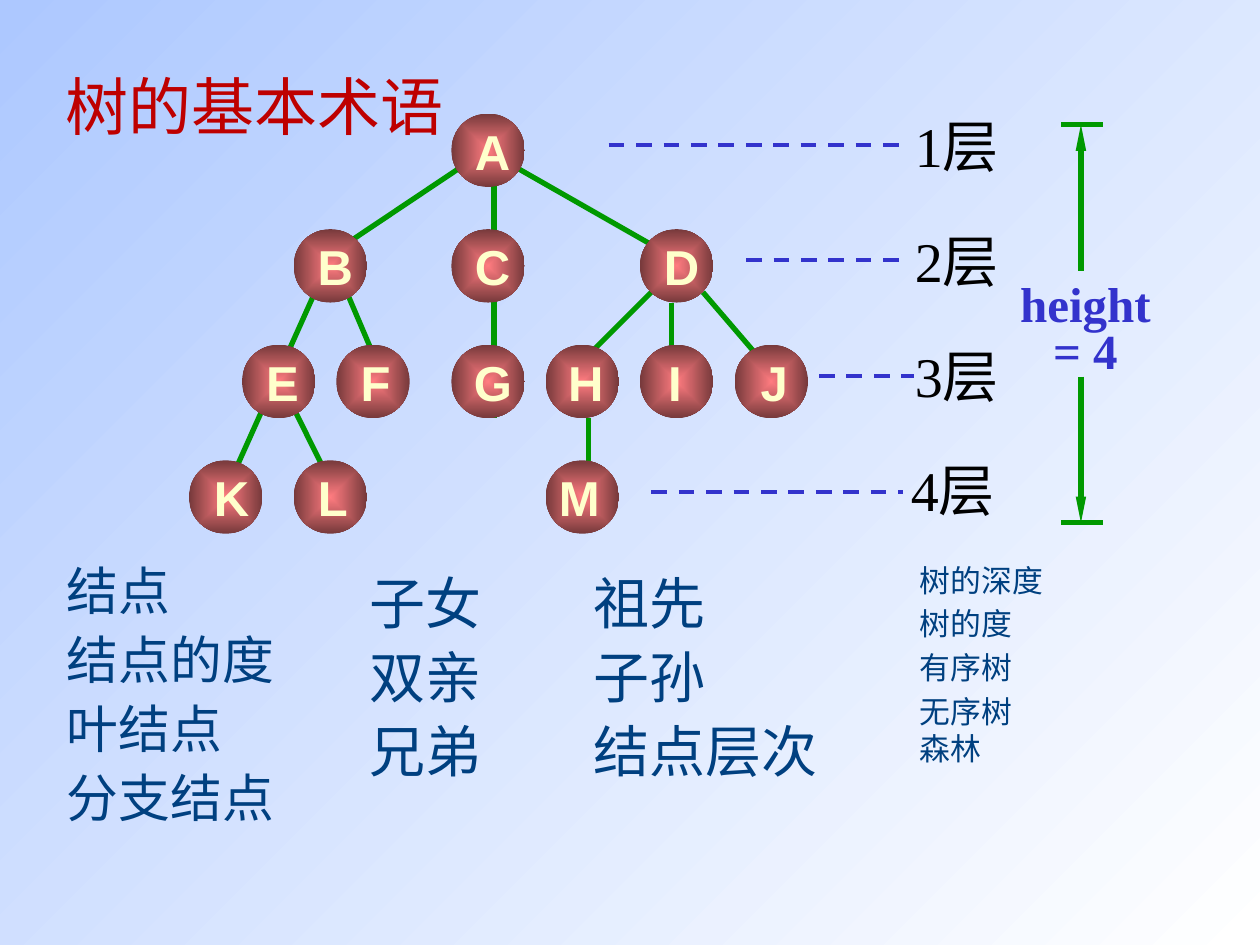
from lxml.etree import SubElement
from pptx import Presentation
from pptx.dml.color import RGBColor
from pptx.enum.dml import MSO_LINE
from pptx.enum.shapes import MSO_CONNECTOR, MSO_SHAPE
from pptx.enum.text import MSO_ANCHOR, MSO_AUTO_SIZE, PP_ALIGN
from pptx.oxml.ns import qn
from pptx.util import Cm, Pt

SKY = RGBColor(0xAD, 0xC8, 0xFF)
WHITE = RGBColor(0xFF, 0xFF, 0xFF)
RED = RGBColor(0xBE, 0x00, 0x00)
GREEN = RGBColor(0x00, 0x99, 0x00)
BLUE = RGBColor(0x33, 0x33, 0xCC)
NAVY = RGBColor(0x00, 0x40, 0x80)
BLACK = RGBColor(0x00, 0x00, 0x00)
CREAM = RGBColor(0xFF, 0xFF, 0xCC)
NODE_LIGHT = RGBColor(0xFF, 0x7C, 0x80)
NODE_DARK = RGBColor(0x76, 0x39, 0x3B)
SERIF, SANS, CJK = "Times New Roman", "Arial", "Noto Sans CJK SC"

deck = Presentation()
deck.slide_width, deck.slide_height = Cm(25.4), Cm(19.05)
slide = deck.slides.add_slide(deck.slide_layouts.get_by_name("Comparison"))


def add_line(x1, y1, x2, y2, color, width):
    line = slide.shapes.add_connector(
        MSO_CONNECTOR.STRAIGHT, Cm(x1), Cm(y1), Cm(x2), Cm(y2))
    line.line.color.rgb = color
    line.line.width = Pt(width)
    SubElement(line._element.spPr, qn("a:effectLst"))
    return line


def add_label(lines, x, y, w, h, font, size, color, bold=False, spacing=None):
    label = slide.shapes.add_textbox(Cm(x), Cm(y), Cm(w), Cm(h)).text_frame
    label.word_wrap = False
    label.auto_size = MSO_AUTO_SIZE.NONE
    label.margin_left = label.margin_right = 0
    label.vertical_anchor = MSO_ANCHOR.MIDDLE
    for i, text in enumerate(lines):
        paragraph = label.add_paragraph() if i else label.paragraphs[0]
        paragraph.alignment = PP_ALIGN.CENTER
        paragraph.line_spacing = spacing
        run = paragraph.add_run()
        run.text = text
        run.font.name, run.font.size, run.font.bold = font, Pt(size), bold
        run.font.color.rgb = color


# Background
backdrop = slide.background.fill
backdrop.gradient()
backdrop.gradient_angle = 315
for stop, color in zip(backdrop.gradient_stops, (SKY, WHITE)):
    stop.color.rgb = color

# Title
title = slide.shapes.title
title.left, title.top, title.width, title.height = Cm(1.07), Cm(1.27), Cm(21.59), Cm(1.7)
title.text_frame.vertical_anchor = MSO_ANCHOR.MIDDLE
title.text_frame.auto_size = MSO_AUTO_SIZE.NONE
heading = title.text_frame.paragraphs[0]
heading.alignment = PP_ALIGN.LEFT
run = heading.add_run()
run.text = "树的基本术语"
run.font.name, run.font.size, run.font.color.rgb = SERIF, Pt(36), RED

# Tree edges
edges = [
    (14.17, 5.89, 15.44, 7.37), (13.13, 5.89, 11.86, 7.16),
    (13.54, 6.1, 13.54, 7.16), (11.86, 8.43, 11.86, 9.7),
    (10.36, 3.35, 13.34, 5.05), (9.32, 3.35, 6.78, 5.05),
    (9.96, 3.56, 9.96, 8.43), (6.99, 5.89, 7.62, 7.37),
    (5.92, 8.23, 6.55, 9.5), (6.35, 5.89, 4.45, 10.13),
]
for edge in edges:
    add_line(*edge, GREEN, 3)

# Tree nodes by level: letter, node left, letter left, letter width
NODE, TOP, LEVEL_STEP = 1.48, 2.29, 2.33
levels = [
    [("A", 9.1, 9.32, 1.22)],
    [("B", 5.92, 6.15, 1.22), ("C", 9.1, 9.32, 1.22), ("D", 12.9, 13.13, 1.22)],
    [("E", 4.88, 5.11, 1.17), ("F", 6.78, 7.01, 1.12), ("G", 9.1, 9.3, 1.27),
     ("H", 11, 11.2, 1.22), ("I", 12.9, 13.21, 0.79), ("J", 14.81, 15.09, 1.04)],
    [("K", 3.81, 4.06, 1.22), ("L", 5.92, 6.15, 1.12), ("M", 11, 11.02, 1.32)],
]
for depth, nodes in enumerate(levels):
    top = TOP + depth * LEVEL_STEP
    for letter, left, letter_left, letter_width in nodes:
        node = slide.shapes.add_shape(
            MSO_SHAPE.OVAL, Cm(left), Cm(top), Cm(NODE), Cm(NODE))
        node.shadow.inherit = False
        node.line.fill.background()
        node.fill.gradient()
        for stop, color in zip(node.fill.gradient_stops, (NODE_LIGHT, NODE_DARK)):
            stop.color.rgb = color
        # Gradient spreads from the centre
        gradient = node._element.spPr.find(qn("a:gradFill"))
        gradient.remove(gradient.find(qn("a:lin")))
        spread = SubElement(gradient, qn("a:path"), path="rect")
        SubElement(spread, qn("a:fillToRect"), l="50000", t="50000", r="50000", b="50000")
        add_label([letter], letter_left, top + 0.02, letter_width, 1.45,
                  SANS, 28, CREAM, bold=True)

# Level guides: dash start, dash end, label left
guides = [(12.27, 18.21, 18.06), (15.04, 18.21, 18.06),
          (16.51, 18.42, 18.06), (13.13, 18.21, 17.98)]
for depth, (start, end, label_left) in enumerate(guides):
    y = 2.92 + depth * LEVEL_STEP
    guide = add_line(start, y, end, y, BLUE, 2.25)
    guide.line.dash_style = MSO_LINE.DASH
    add_label([f"{depth + 1}层"], label_left, 2.12 + depth * 2.31, 2.46, 1.63,
              SERIF, 32, BLACK)

# Height measure
add_label(["height", "= 4"], 20.32, 5.61, 3.12, 2.16, SERIF, 28, BLUE,
          bold=True, spacing=0.8)
for inner, outer in ((5.46, 2.51), (7.59, 10.54)):
    add_line(21.39, outer, 22.23, outer, GREEN, 3)
    arrow = add_line(21.79, inner, 21.79, outer, GREEN, 3)
    SubElement(arrow.line._get_or_add_ln(), qn("a:tailEnd"),
               type="triangle", w="sm", len="lg")

# Term lists: left, top, width, height, size, paragraphs of (text, font) runs
term_lists = [
    (1.09, 11.13, 6.15, 5.92, 29.6,
     [[(term, SERIF)] for term in ("结点", "结点的度", "叶结点", "分支结点")]),
    (7.19, 11.33, 5.28, 6.07, 32,
     [[(term, SERIF)] for term in ("子女", "双亲", "兄弟")]),
    (11.71, 11.33, 6.35, 4.9, 32,
     [[(term, SERIF)] for term in ("祖先", "子孙", "结点层次")]),
    (18.29, 11.33, 6.15, 4.88, 17.6,
     [[("树的深", CJK), ("度", SERIF)], [("树的度", SERIF)], [("有序树", SERIF)],
      [("无序树", SERIF)], [("森林", CJK)]]),
]
for idx, (left, top, width, height, size, terms) in enumerate(term_lists, 1):
    body = slide.placeholders[idx]
    body.left, body.top, body.width, body.height = Cm(left), Cm(top), Cm(width), Cm(height)
    body.text_frame.vertical_anchor = MSO_ANCHOR.TOP
    body.text_frame.auto_size = MSO_AUTO_SIZE.NONE
    for i, runs in enumerate(terms):
        paragraph = body.text_frame.add_paragraph() if i else body.text_frame.paragraphs[0]
        properties = paragraph._p.get_or_add_pPr()
        properties.set("marL", "0")
        properties.set("indent", "0")
        SubElement(properties, qn("a:buNone"))
        paragraph.space_before = Pt(4 if i else 0)
        paragraph.line_spacing = 0.8 if runs[0][1] == CJK else 1.0
        for text, font in runs:
            run = paragraph.add_run()
            run.text = text
            run.font.name, run.font.size, run.font.bold = font, Pt(size), False
            run.font.color.rgb = NAVY

deck.save("out.pptx")
